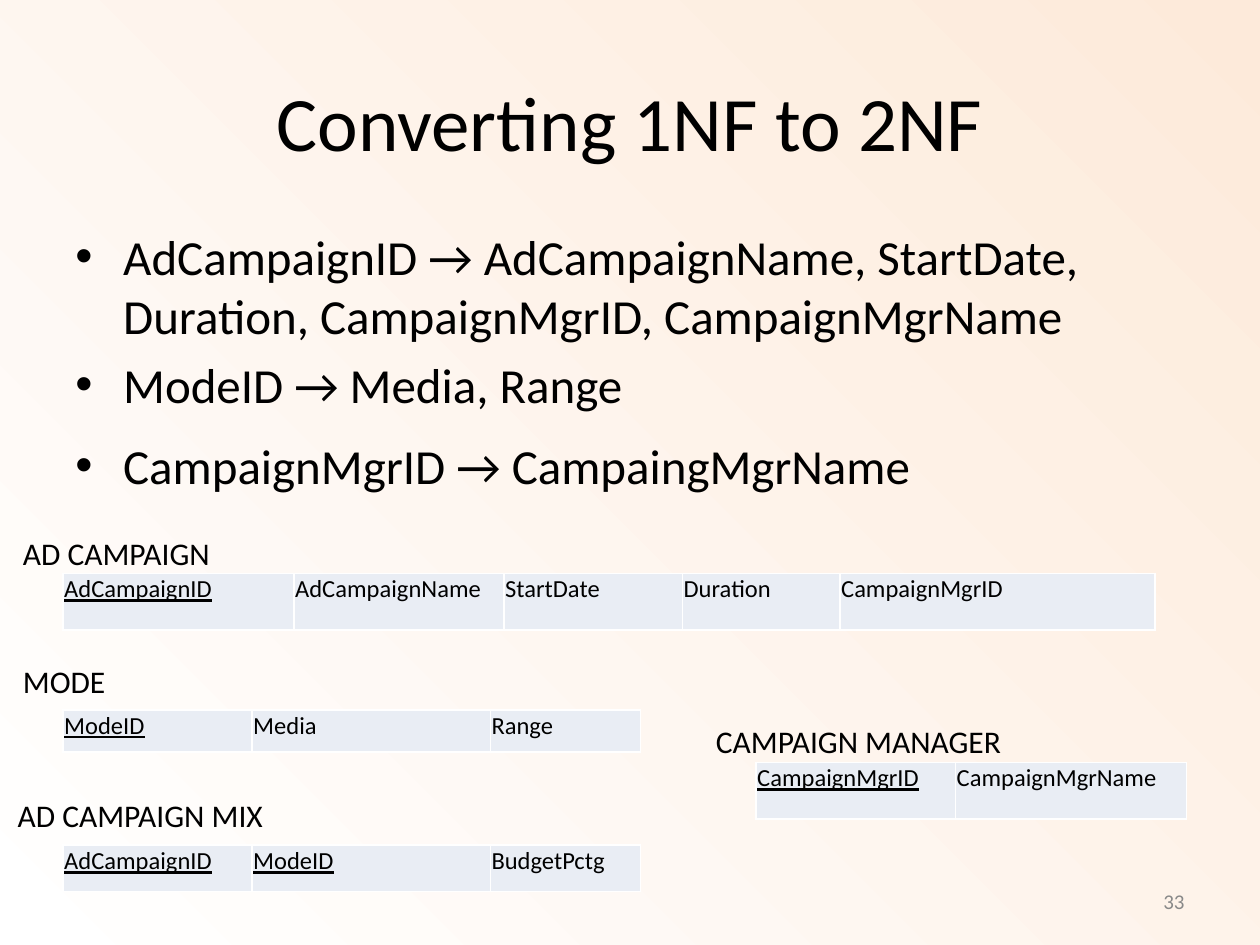
from pptx import Presentation
from pptx.dml.color import RGBColor
from pptx.enum.text import MSO_ANCHOR, MSO_AUTO_SIZE, PP_ALIGN
from pptx.oxml import parse_xml
from pptx.oxml.ns import nsdecls, qn
from pptx.util import Inches, Pt

THEME = {
    "face": "Calibri",
    "ink": "000000", "grey": "898989", "cell": "E9EDF4",
    "white": "FFFFFF", "peach": "FDEADA",
    "title": 44, "body": 28, "label": 18, "field": 14, "page": 12,
}
COLS, ROWS = 120, 90

deck = Presentation()
deck.slide_width, deck.slide_height = Inches(10), Inches(7.5)
slide = deck.slides.add_slide(deck.slide_layouts[5])


def grid(*box):
    """Turn left, top, width, height in grid columns and rows into lengths."""
    sides = (deck.slide_width / COLS, deck.slide_height / ROWS) * 2
    return [round(n * side) for n, side in zip(box, sides)]


def style(para, size, ink="ink", **extra):
    look = {"name": THEME["face"], "size": Pt(THEME[size]), **extra}
    for key, value in look.items():
        setattr(para.font, key, value)
    para.font.color.rgb = RGBColor.from_string(THEME[ink])


# Background: white in the lower left corner, peach in the upper right
slide.background.fill.solid()
plain = slide.element.find(".//" + qn("a:solidFill"))
stops = "".join(
    f'<a:gs pos="{pos}"><a:srgbClr val="{THEME[name]}"/></a:gs>'
    for pos, name in ((0, "white"), (100000, "peach")))
plain.getparent().replace(plain, parse_xml(
    f'<a:gradFill {nsdecls("a")} rotWithShape="1"><a:gsLst>{stops}</a:gsLst>'
    '<a:path path="circle"><a:fillToRect t="100000" r="100000"/></a:path>'
    '</a:gradFill>'))

# Title
title = slide.shapes.title
title.left, title.top, title.width, title.height = grid(6, 4, 108, 15)
title.text_frame.text = "Converting 1NF to 2NF"
title.text_frame.vertical_anchor = MSO_ANCHOR.MIDDLE
title.text_frame.paragraphs[0].alignment = PP_ALIGN.CENTER
style(title.text_frame.paragraphs[0], "title")

# Functional dependencies
lists = [
    ((6, 21, 108, 20.4), [
        "AdCampaignID → AdCampaignName, StartDate, Duration, "
        "CampaignMgrID, CampaignMgrName",
        "ModeID → Media, Range"]),
    ((6, 40.9, 108, 10), ["CampaignMgrID → CampaingMgrName"]),
]
indent = Inches(0.38)
for box, lines in lists:
    frame = slide.shapes.add_textbox(*grid(*box)).text_frame
    frame.word_wrap = True
    frame.text = "\n".join(lines)
    for i, para in enumerate(frame.paragraphs):
        props = para._p.get_or_add_pPr()
        props.set("marL", str(indent))
        props.set("indent", str(-indent))
        for tag in ('buFont typeface="Arial"', 'buChar char="•"'):
            props.append(parse_xml(f'<a:{tag} {nsdecls("a")}/>'))
        if i:
            para.space_before = Pt(THEME["body"] * 0.2)
        style(para, "body")

# Relations: label, label box, table left, top, row height, number of keys,
# then each field with its width
relations = [
    ("AD CAMPAIGN", (1, 50.3, 20.4, 4.8), 6, 54.6, 5.4, 1,
     {"AdCampaignID": 22, "AdCampaignName": 20, "StartDate": 17,
      "Duration": 15, "CampaignMgrID": 30}),
    ("MODE", (1, 62.5, 10.3, 4.8), 6, 67.6, 4, 1,
     {"ModeID": 18, "Media": 22.7, "Range": 14.3}),
    ("AD CAMPAIGN MIX", (0.5, 75.2, 26, 4.8), 6, 80.5, 4.4, 2,
     {"AdCampaignID": 18, "ModeID": 22.7, "BudgetPctg": 14.3}),
    ("CAMPAIGN MANAGER", (67, 68.2, 29.9, 4.8), 72, 72.6, 5.4, 1,
     {"CampaignMgrID": 19, "CampaignMgrName": 22}),
]
inset = Inches(0.01)
pad = {"margin_left": inset, "margin_right": inset,
       "margin_top": inset, "margin_bottom": 0}
for name, box, left, top, high, keys, fields in relations:
    frame = slide.shapes.add_textbox(*grid(*box)).text_frame
    frame.word_wrap = False
    frame.auto_size = MSO_AUTO_SIZE.SHAPE_TO_FIT_TEXT
    frame.text = name
    style(frame.paragraphs[0], "label")

    table = slide.shapes.add_table(
        1, len(fields), *grid(left, top, sum(fields.values()), high)).table
    table.first_row = table.horz_banding = False
    for i, (field, wide) in enumerate(fields.items()):
        table.columns[i].width = grid(wide)[0]
        cell = table.cell(0, i)
        cell.text = field
        for key, value in pad.items():
            setattr(cell, key, value)
        cell.fill.solid()
        cell.fill.fore_color.rgb = RGBColor.from_string(THEME["cell"])
        for j, side in enumerate("LRTB"):
            cell._tc.get_or_add_tcPr().insert(j, parse_xml(
                f'<a:ln{side} {nsdecls("a")} w="{Pt(1)}"><a:solidFill>'
                f'<a:srgbClr val="{THEME["white"]}"/></a:solidFill></a:ln{side}>'))
        style(cell.text_frame.paragraphs[0], "field", underline=i < keys)

# Page number
frame = slide.shapes.add_textbox(*grid(86, 83.4, 28, 4.8)).text_frame
frame.word_wrap = True
frame.vertical_anchor = MSO_ANCHOR.MIDDLE
frame.text = "33"
frame.paragraphs[0].alignment = PP_ALIGN.RIGHT
style(frame.paragraphs[0], "page", "grey")

deck.save("out.pptx")
